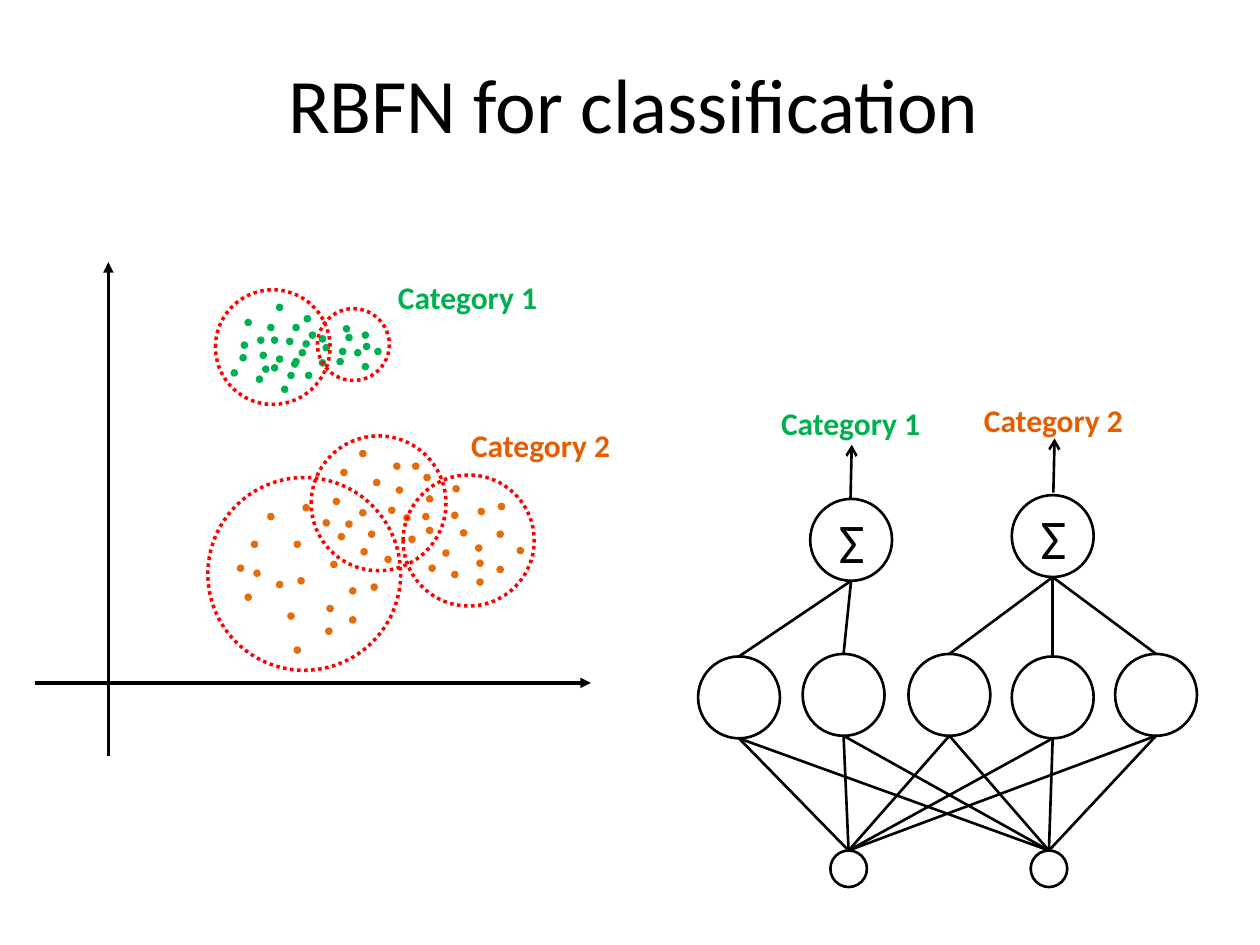
from lxml import etree
from pptx import Presentation
from pptx.dml.color import RGBColor
from pptx.enum.dml import MSO_LINE
from pptx.enum.shapes import MSO_CONNECTOR, MSO_SHAPE
from pptx.enum.text import MSO_ANCHOR, MSO_AUTO_SIZE, PP_ALIGN
from pptx.oxml.ns import qn
from pptx.util import Inches, Pt

OVAL = MSO_SHAPE.OVAL
STRAIGHT = MSO_CONNECTOR.STRAIGHT
DOTTED = MSO_LINE.ROUND_DOT
CENTER = PP_ALIGN.CENTER
LEFT = PP_ALIGN.LEFT
MIDDLE = MSO_ANCHOR.MIDDLE
TOP = MSO_ANCHOR.TOP
GROW = MSO_AUTO_SIZE.SHAPE_TO_FIT_TEXT

BLACK = RGBColor(0x00, 0x00, 0x00)
RED = RGBColor(0xFF, 0x00, 0x00)
GREEN = RGBColor(0x00, 0xB0, 0x50)
ORANGE = RGBColor(0xE4, 0x6C, 0x0A)
LABEL_ORANGE = RGBColor(0xE6, 0x5D, 0x00)

FONT = "Calibri"
DOT, NEURON, INPUT = 0.06, 0.65, 0.29

TITLE = "RBFN for classification"
# Text, left, top, colour
LABELS = [
    ("Category 1", 6.1, 3.16, GREEN),
    ("Category 2", 7.71, 3.13, LABEL_ORANGE),
    ("Category 1", 3.06, 2.16, GREEN),
    ("Category 2", 3.64, 3.33, LABEL_ORANGE),
]

# Start and end of each plot axis
AXES = [((0.28, 5.42), (4.69, 5.42)), ((0.86, 6), (0.86, 2.08))]

# Left, top, diameter of each cluster region
CLUSTERS = [
    (1.71, 2.3, 0.91), (2.52, 2.45, 0.57),
    (1.65, 3.79, 1.53), (2.47, 3.46, 1.07), (3.2, 3.77, 1.04),
]

# Left, top of each sample point
CATEGORY_1 = [
    (2.12, 2.57), (2.04, 2.67), (2.15, 2.67), (1.94, 2.53), (2.06, 2.79),
    (2.19, 2.82), (1.91, 2.71), (2.08, 2.9), (2.27, 2.68), (2.28, 2.95),
    (2.37, 2.77), (2.32, 2.57), (2.42, 2.95), (2.53, 2.85), (2.45, 2.63),
    (2.53, 2.66), (2.23, 3.06), (2.4, 2.7), (2.31, 2.86), (2.15, 2.89),
    (1.9, 2.81), (2.03, 2.98), (2.67, 2.84), (2.72, 2.58), (2.81, 2.77),
    (2.69, 2.76), (2.87, 2.63), (2.88, 2.72), (2.74, 2.65), (2.87, 2.88),
    (2.32, 2.84), (2.41, 2.5), (2.97, 2.76), (1.83, 2.93), (2.19, 2.41),
    (2.56, 2.73),
]
CATEGORY_2 = [
    (1.88, 4.48), (2.01, 4.52), (1.99, 4.29), (2.36, 4.58), (2.28, 4.86),
    (2.33, 4.29), (2.59, 4.8), (2.62, 4.45), (2.94, 4.63), (2.74, 4.13),
    (2.58, 4.98), (2.4, 4), (2.33, 5.13), (2.86, 4.35), (2.12, 4.07),
    (2.56, 4.12), (2.77, 4.89), (2.77, 4.66), (3.05, 4.41), (3.38, 3.93),
    (1.94, 4.71), (3.24, 4.25), (2.7, 3.72), (3.35, 4.07), (3.36, 3.76),
    (3.12, 3.67), (2.85, 3.57), (2.96, 3.8), (3.14, 3.86), (3.2, 4.08),
    (3.08, 4.02), (2.85, 4.04), (2.92, 4.21), (2.64, 3.95), (2.68, 4.23),
    (3.58, 4.06), (2.19, 4.61), (3.27, 3.67), (3.51, 4.36), (3.77, 4.32),
    (3.94, 4.49), (4.1, 4.34), (3.94, 4.21), (3.78, 4.59), (3.58, 4.53),
    (3.79, 4.03), (3.78, 4.44), (3.95, 3.99), (3.4, 4.48), (3.59, 3.85),
    (3.65, 4.2), (3.38, 4.18),
]

# Left, top of each network node
HIDDEN = [(5.54, 5.21), (6.37, 5.19), (7.21, 5.19), (8.03, 5.21), (8.85, 5.19)]
INPUTS = [(6.59, 6.75), (8.18, 6.75)]
# Node position, the hidden nodes it sums, arrow start and end
OUTPUTS = [
    ((6.43, 3.96), HIDDEN[:2], (6.75, 3.96), (6.76, 3.53)),
    ((8.03, 3.93), HIDDEN[2:], (8.36, 3.91), (8.37, 3.48)),
]


def add_circle(slide, left, top, diameter, fill=None, line=None, width=1.5, dash=None):
    circle = slide.shapes.add_shape(
        OVAL, Inches(left), Inches(top), Inches(diameter), Inches(diameter))
    circle.shadow.inherit = False
    if fill is None:
        circle.fill.background()
    else:
        circle.fill.solid()
        circle.fill.fore_color.rgb = fill
    if line is None:
        circle.line.fill.background()
    else:
        circle.line.color.rgb = line
        circle.line.width = Pt(width)
        if dash is not None:
            circle.line.dash_style = dash


def add_line(slide, start, end, width=1.5, head=None):
    """Draw a black line; head names the arrowhead type at its end."""
    x1, y1, x2, y2 = map(Inches, (*start, *end))
    connector = slide.shapes.add_connector(STRAIGHT, x1, y1, x2, y2)
    connector.line.color.rgb = BLACK
    connector.line.width = Pt(width)
    if head:
        etree.SubElement(connector.line._get_or_add_ln(), qn("a:tailEnd"), type=head)
    etree.SubElement(connector._element.spPr, qn("a:effectLst"))


def add_text(slide, text, box, size, color=BLACK, bold=False, title=False):
    text_box = slide.shapes.add_textbox(*map(Inches, box))
    frame = text_box.text_frame
    frame.text = text
    frame.word_wrap = title
    frame.vertical_anchor = MIDDLE if title else TOP
    if not title:
        frame.auto_size = GROW
    paragraph = frame.paragraphs[0]
    paragraph.alignment = CENTER if title else LEFT
    font = paragraph.runs[0].font
    font.name, font.size, font.bold = FONT, Pt(size), bold
    font.color.rgb = color


def top_of(node, diameter):
    return node[0] + diameter / 2, node[1]


def bottom_of(node, diameter):
    return node[0] + diameter / 2, node[1] + diameter


def draw_plot(slide):
    for start, end in AXES:
        add_line(slide, start, end, width=2, head="triangle")
    for points, color in ((CATEGORY_1, GREEN), (CATEGORY_2, ORANGE)):
        for left, top in points:
            add_circle(slide, left, top, DOT, fill=color)
    for left, top, diameter in CLUSTERS:
        add_circle(slide, left, top, diameter, line=RED, width=2, dash=DOTTED)


def draw_network(slide):
    for node in HIDDEN:
        add_circle(slide, *node, NEURON, line=BLACK)
    for node in INPUTS:
        add_circle(slide, *node, INPUT, line=BLACK)
        for hidden in HIDDEN:
            add_line(slide, top_of(node, INPUT), bottom_of(hidden, NEURON))
    for node, summed, arrow_start, arrow_end in OUTPUTS:
        add_circle(slide, *node, NEURON, line=BLACK)
        add_text(slide, "Σ", (node[0] + 0.13, node[1] + 0.02, 0.41, 0.64), 32)
        for hidden in summed:
            add_line(slide, top_of(hidden, NEURON), bottom_of(node, NEURON))
        add_line(slide, arrow_start, arrow_end, head="arrow")


def main():
    presentation = Presentation()
    presentation.slide_width = Inches(10)
    presentation.slide_height = Inches(7.5)
    slide = presentation.slides.add_slide(presentation.slide_layouts[6])
    draw_plot(slide)
    draw_network(slide)
    for text, left, top, color in LABELS:
        add_text(slide, text, (left, top, 1.32, 0.4), 18, color, bold=True)
    add_text(slide, TITLE, (0.53, 0.19, 9, 1.25), 44, title=True)
    presentation.save("out.pptx")


if __name__ == "__main__":
    main()
